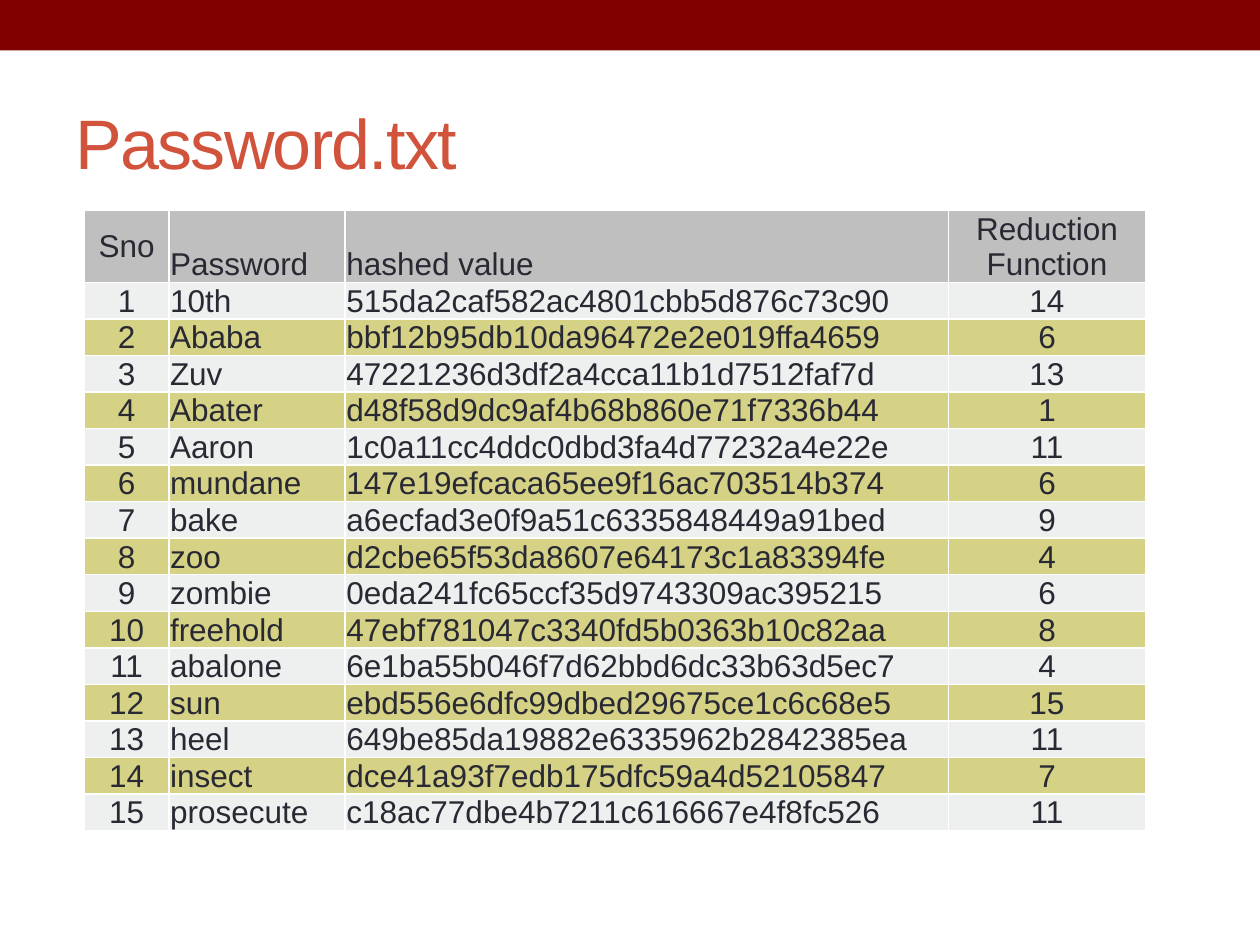
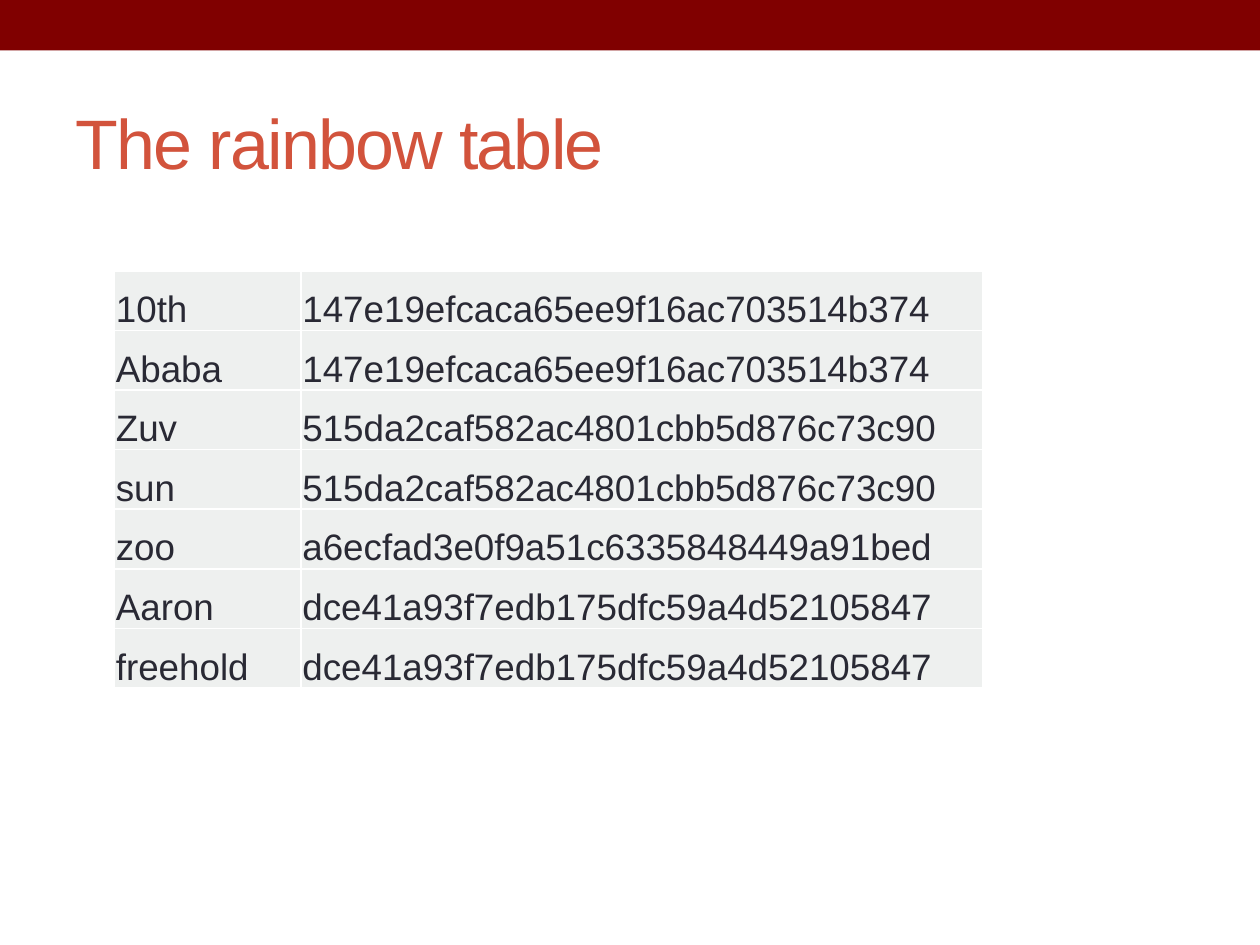
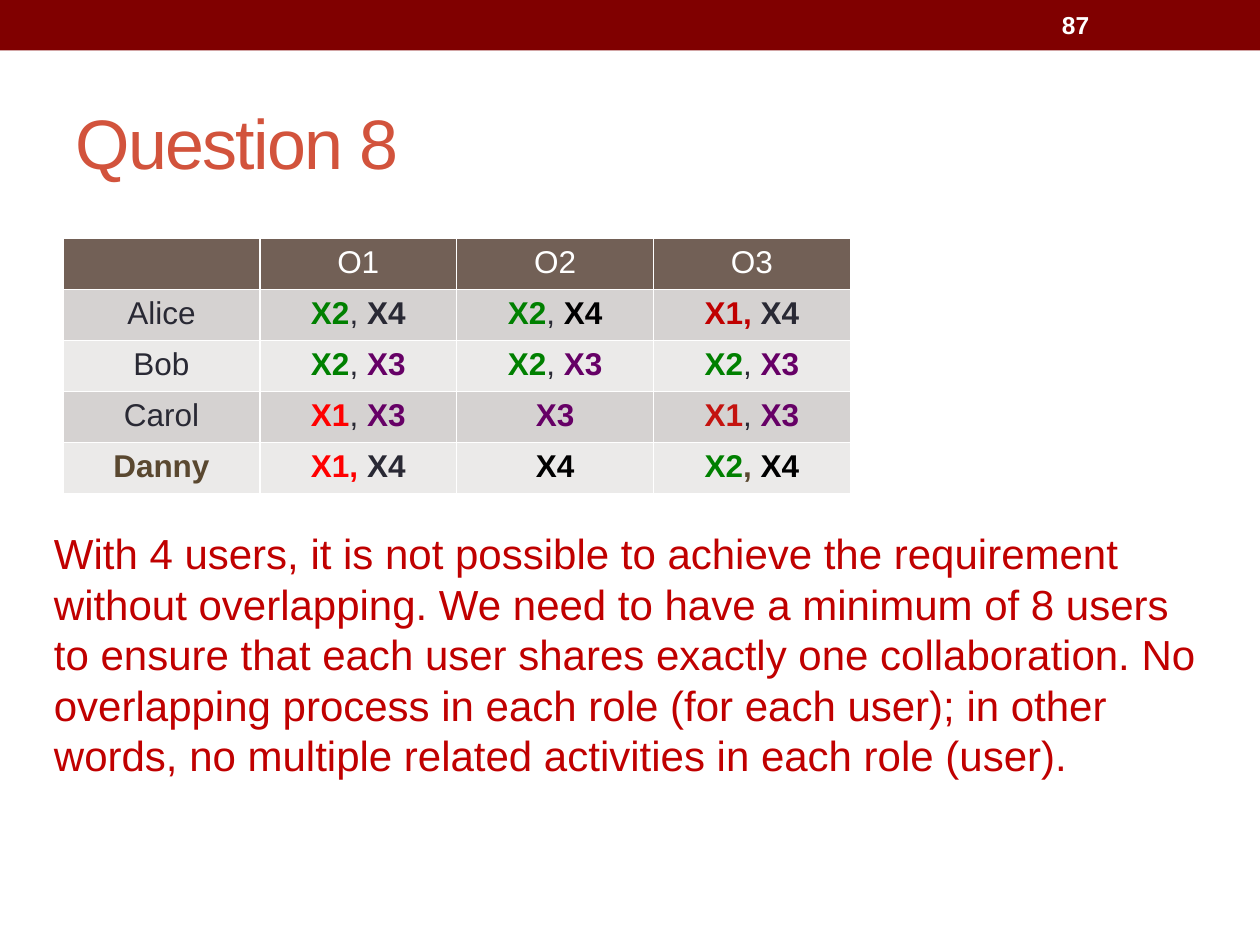
"""Build three slides on password hashes, a rainbow table and role sharing."""
from lxml import etree
from pptx import Presentation
from pptx.dml.color import RGBColor
from pptx.enum.shapes import MSO_SHAPE
from pptx.enum.text import MSO_ANCHOR, PP_ALIGN
from pptx.oxml.ns import qn
from pptx.util import Inches, Pt

RECTANGLE = MSO_SHAPE.RECTANGLE
TOP, MIDDLE, BOTTOM = MSO_ANCHOR.TOP, MSO_ANCHOR.MIDDLE, MSO_ANCHOR.BOTTOM
LEFT, CENTER = PP_ALIGN.LEFT, PP_ALIGN.CENTER
FONT = "Arial"
COLORS = {
    "band": "800000", "title": "D2533C", "ink": "292934", "white": "FFFFFF",
    "black": "000000", "answer": "C00000", "red": "FF0000", "brick": "C4130F",
    "green": "008000", "purple": "660066", "brown": "5A4830",
    "grey": "BFBFBF", "pale": "EEF0EF", "olive": "D5D286",
    "header": "726056", "taupe": "D5D2D1", "light": "EBEAE9",
}


def write(frame, pieces, size, align=LEFT):
    paragraph = frame.paragraphs[0]
    paragraph.alignment = align
    for text, color, bold in pieces:
        run = paragraph.add_run()
        run.text = text
        run.font.name = FONT
        run.font.size = Pt(size)
        run.font.bold = bold
        run.font.color.rgb = RGBColor.from_string(COLORS[color])
    return paragraph


def add_grid(slide, left, top, widths, heights, fills):
    table = slide.shapes.add_table(
        len(heights), len(widths), Inches(left), Inches(top),
        Inches(sum(widths)), Inches(sum(heights))).table
    for column, width in zip(table.columns, widths):
        column.width = Inches(width)
    for row, height, fill in zip(table.rows, heights, fills):
        row.height = Inches(height)
        for cell in row.cells:
            cell.fill.solid()
            cell.fill.fore_color.rgb = RGBColor.from_string(COLORS[fill])
            properties = cell._tc.get_or_add_tcPr()
            for place, side in enumerate(("lnL", "lnR", "lnT", "lnB")):
                border = etree.Element(qn(f"a:{side}"), w=str(Pt(1)))
                solid = etree.SubElement(border, qn("a:solidFill"))
                etree.SubElement(solid, qn("a:srgbClr"), val=COLORS["white"])
                properties.insert(place, border)
    return table


prs = Presentation()
prs.slide_width, prs.slide_height = Inches(10), Inches(7.5)
slides = []
for heading in ("Password.txt", "The rainbow table", "Question 8"):
    slide = prs.slides.add_slide(prs.slide_layouts[5])
    title = slide.shapes.title
    title.left, title.top = Inches(0.5), Inches(0.58)
    title.width, title.height = Inches(9), Inches(1.08)
    title.text_frame.vertical_anchor = MIDDLE
    line = write(title.text_frame, [(heading, "title", False)], 40)
    line.runs[0]._r.get_or_add_rPr().set("spc", "-100")
    slides.append(slide)
password_slide, rainbow_slide, question_slide = slides

band = password_slide.shapes.add_shape(RECTANGLE, 0, 0, prs.slide_width, Inches(0.4))
band.shadow.inherit = False
band.fill.solid()
band.fill.fore_color.rgb = RGBColor.from_string(COLORS["band"])
band.line.fill.background()
band.element.nvSpPr.cNvPr.set("id", "20")
prs.slide_master.shapes.element.insert(2, band.element)

hashes = [
    ("10th", "515da2caf582ac4801cbb5d876c73c90", 14),
    ("Ababa", "bbf12b95db10da96472e2e019ffa4659", 6),
    ("Zuv", "47221236d3df2a4cca11b1d7512faf7d", 13),
    ("Abater", "d48f58d9dc9af4b68b860e71f7336b44", 1),
    ("Aaron", "1c0a11cc4ddc0dbd3fa4d77232a4e22e", 11),
    ("mundane", "147e19efcaca65ee9f16ac703514b374", 6),
    ("bake", "a6ecfad3e0f9a51c6335848449a91bed", 9),
    ("zoo", "d2cbe65f53da8607e64173c1a83394fe", 4),
    ("zombie", "0eda241fc65ccf35d9743309ac395215", 6),
    ("freehold", "47ebf781047c3340fd5b0363b10c82aa", 8),
    ("abalone", "6e1ba55b046f7d62bbd6dc33b63d5ec7", 4),
    ("sun", "ebd556e6dfc99dbed29675ce1c6c68e5", 15),
    ("heel", "649be85da19882e6335962b2842385ea", 11),
    ("insect", "dce41a93f7edb175dfc59a4d52105847", 7),
    ("prosecute", "c18ac77dbe4b7211c616667e4f8fc526", 11),
]
password_rows = [("Sno", "Password", "hashed value", "Reduction Function")]
password_rows += [(number, *entry) for number, entry in enumerate(hashes, 1)]
password_fills = ["grey"] + [("pale", "olive")[i % 2] for i in range(len(hashes))]
password_table = add_grid(
    password_slide, 0.67, 1.67, [0.67, 1.4, 4.79, 1.56],
    [0.55] + [0.28] * len(hashes), password_fills)

hash_of = {word: digest for word, digest, _ in hashes}
chains = [("10th", "mundane"), ("Ababa", "mundane"), ("Zuv", "10th"), ("sun", "10th"),
          ("zoo", "bake"), ("Aaron", "insect"), ("freehold", "insect")]
rainbow_rows = [(start, hash_of[end]) for start, end in chains]
rainbow_table = add_grid(
    rainbow_slide, 0.91, 2.15, [1.48, 5.41],
    [3.31 / len(chains)] * len(chains), ["pale"] * len(chains))

for table, rows, size, centered in (
        (password_table, password_rows, 18, (0, 3)),
        (rainbow_table, rainbow_rows, 21, ())):
    for r, values in enumerate(rows):
        for c, value in enumerate(values):
            cell = table.cell(r, c)
            cell.margin_left = cell.margin_right = cell.margin_top = Inches(0.01)
            cell.margin_bottom = 0
            cell.vertical_anchor = MIDDLE if c in centered else BOTTOM
            write(cell.text_frame, [(str(value), "ink", False)], size,
                  CENTER if c in centered else LEFT)

comma = (", ", "ink")
x2, x3 = ("X2", "green"), ("X3", "purple")
x4, x4_black = ("X4", "ink"), ("X4", "black")
role_rows = [
    [[], [("O1", "white")], [("O2", "white")], [("O3", "white")]],
    [[("Alice", "ink")], [x2, comma, x4], [x2, comma, x4_black],
     [("X1, ", "answer"), x4]],
    [[("Bob", "ink")]] + [[x2, comma, x3]] * 3,
    [[("Carol", "ink")], [("X1", "red"), comma, x3], [x3],
     [("X1", "brick"), comma, x3]],
    [[("Danny", "brown")], [("X1, ", "red"), x4], [x4_black],
     [x2, (", ", "brown"), x4_black]],
]
role_table = add_grid(
    question_slide, 0.5, 1.89, [6.25 / 4] * 4, [2.03 / 5] * 5,
    ["header", "taupe", "light", "taupe", "light"])
for r, cells in enumerate(role_rows):
    for c, parts in enumerate(cells):
        cell = role_table.cell(r, c)
        cell.vertical_anchor = TOP
        pieces = [(text, color, text.startswith("X") or color == "brown")
                  for text, color in parts]
        write(cell.text_frame, pieces, 18, CENTER)

page_number = question_slide.shapes.add_textbox(
    Inches(8.33), Inches(0.02), Inches(1.17), Inches(0.36)).text_frame
page_number.word_wrap = True
page_number.vertical_anchor = MIDDLE
write(page_number, [("87", "white", True)], 14)

answer = question_slide.shapes.add_textbox(
    Inches(0.33), Inches(4.14), Inches(9.4), Inches(2.12)).text_frame
answer.word_wrap = True
conclusion = (
    "With 4 users, it is not possible to achieve the requirement without overlapping. "
    "We need to have a minimum of 8 users to ensure that each user shares exactly one "
    "collaboration. No overlapping process in each role (for each user); in other words, "
    "no multiple related activities in each role (user).")
write(answer, [(conclusion, "answer", False)], 24)

prs.save("out.pptx")
